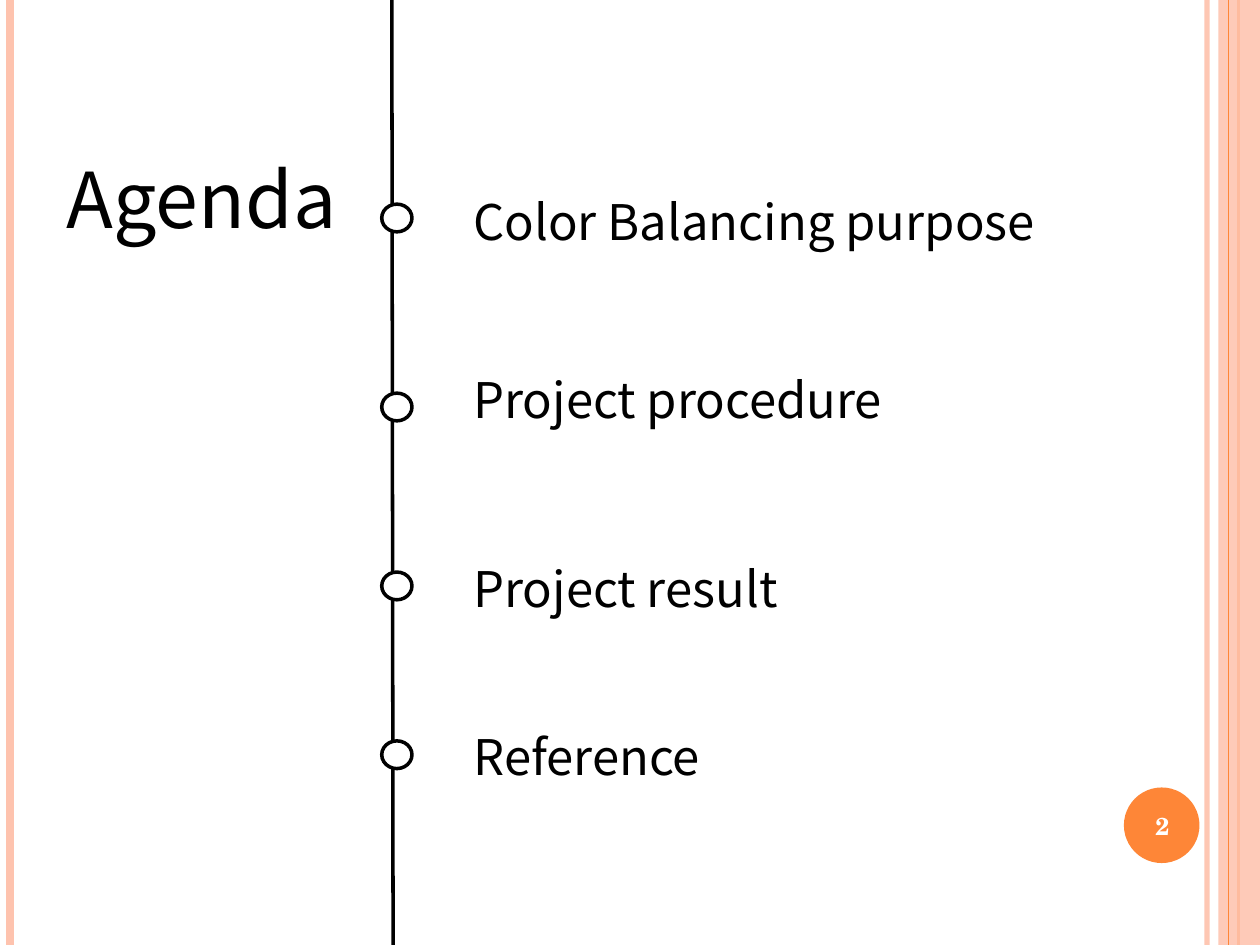
from lxml import etree
from pptx import Presentation
from pptx.dml.color import RGBColor
from pptx.enum.shapes import MSO_CONNECTOR, MSO_SHAPE
from pptx.enum.text import MSO_ANCHOR, MSO_AUTO_SIZE, PP_ALIGN
from pptx.oxml.ns import qn
from pptx.util import Inches, Pt

STRAIGHT, OVAL, RECTANGLE = MSO_CONNECTOR.STRAIGHT, MSO_SHAPE.OVAL, MSO_SHAPE.RECTANGLE
TOP, MIDDLE = MSO_ANCHOR.TOP, MSO_ANCHOR.MIDDLE
LEFT, CENTER = PP_ALIGN.LEFT, PP_ALIGN.CENTER
COLORS = {name: RGBColor.from_string(value) for name, value in {
    "peach": "FEC3AE", "orange": "FE8637", "black": "000000", "white": "FFFFFF",
}.items()}
SANS, SERIF = "Noto Sans CJK SC", "TeX Gyre Schola"

presentation = Presentation()
presentation.slide_width, presentation.slide_height = Inches(10), Inches(7.5)
HEIGHT = presentation.slide_height
slide = presentation.slides.add_slide(presentation.slide_layouts[5])
shapes = slide.shapes


def add_line(start_x, end_x, color, width, opacity=100):
    """Draw a line over the full height of the slide."""
    line = shapes.add_connector(STRAIGHT, Inches(start_x), 0, Inches(end_x), HEIGHT)
    line.line.color.rgb = COLORS[color]
    line.line.width = Pt(width)
    etree.SubElement(line._element.spPr, qn("a:effectLst"))
    if opacity < 100:
        fill_color = line._element.spPr.find(".//" + qn("a:srgbClr"))
        etree.SubElement(fill_color, qn("a:alpha"), val=str(opacity * 1000))


def write_text(shape, text, size, font=SANS, color="black", bold=False,
               align=LEFT, anchor=TOP):
    """Fill a text shape with one formatted paragraph."""
    frame = shape.text_frame
    frame.text = text
    frame.word_wrap = True
    frame.auto_size = MSO_AUTO_SIZE.NONE
    frame.vertical_anchor = anchor
    paragraph = frame.paragraphs[0]
    paragraph.alignment = align
    for name, value in {"name": font, "size": Pt(size), "bold": bold}.items():
        setattr(paragraph.font, name, value)
    paragraph.font.color.rgb = COLORS[color]


# Border stripes, with the band between the two orange lines
add_line(9.58, 9.58, "peach", 3, opacity=93)
add_line(0.08, 0.08, "peach", 4.5)
add_line(9.83, 9.83, "orange", 1.5)
band = shapes.add_shape(RECTANGLE, Inches(9.67), 0, Inches(0.33), HEIGHT)
band.shadow.inherit = False
band.fill.solid()
band.fill.fore_color.rgb = COLORS["peach"]
band.line.fill.background()
band_color = band._element.spPr.find(".//" + qn("a:srgbClr"))
etree.SubElement(band_color, qn("a:alpha"), val="87000")
add_line(9.75, 9.75, "orange", 0.75)

# Page number badge
badge = shapes.add_shape(OVAL, Inches(8.92), Inches(6.25), Inches(0.6), Inches(0.6))
badge.shadow.inherit = False
badge.fill.solid()
badge.fill.fore_color.rgb = COLORS["orange"]
badge.line.fill.background()
number = shapes.add_textbox(Inches(8.89), Inches(6.27), Inches(0.67), Inches(0.57))
write_text(number, "2", 14, SERIF, "white", True, CENTER, MIDDLE)

# Title
title = shapes.title
for name, value in {"left": 0.43, "top": 1.15, "width": 2.76, "height": 0.84}.items():
    setattr(title, name, Inches(value))
write_text(title, "Agenda", 44)

# Timeline with a marker beside each agenda item
add_line(3.11, 3.12, "black", 2)
agenda = [
    ("Color Balancing purpose", 1.62, 1.47),
    ("Project procedure", 3.12, 2.88),
    ("Project result", 4.54, 4.38),
    ("Reference", 5.88, 5.72),
]
for text, marker_top, text_top in agenda:
    marker = shapes.add_shape(OVAL, Inches(3.03), Inches(marker_top),
                              Inches(0.24), Inches(0.22))
    marker.shadow.inherit = False
    marker.fill.solid()
    marker.fill.fore_color.rgb = COLORS["white"]
    marker.line.color.rgb = COLORS["black"]
    marker.line.width = Pt(2)
    item = shapes.add_textbox(Inches(3.66), Inches(text_top), Inches(4.8), Inches(0.57))
    write_text(item, text, 28)

presentation.save("out.pptx")
